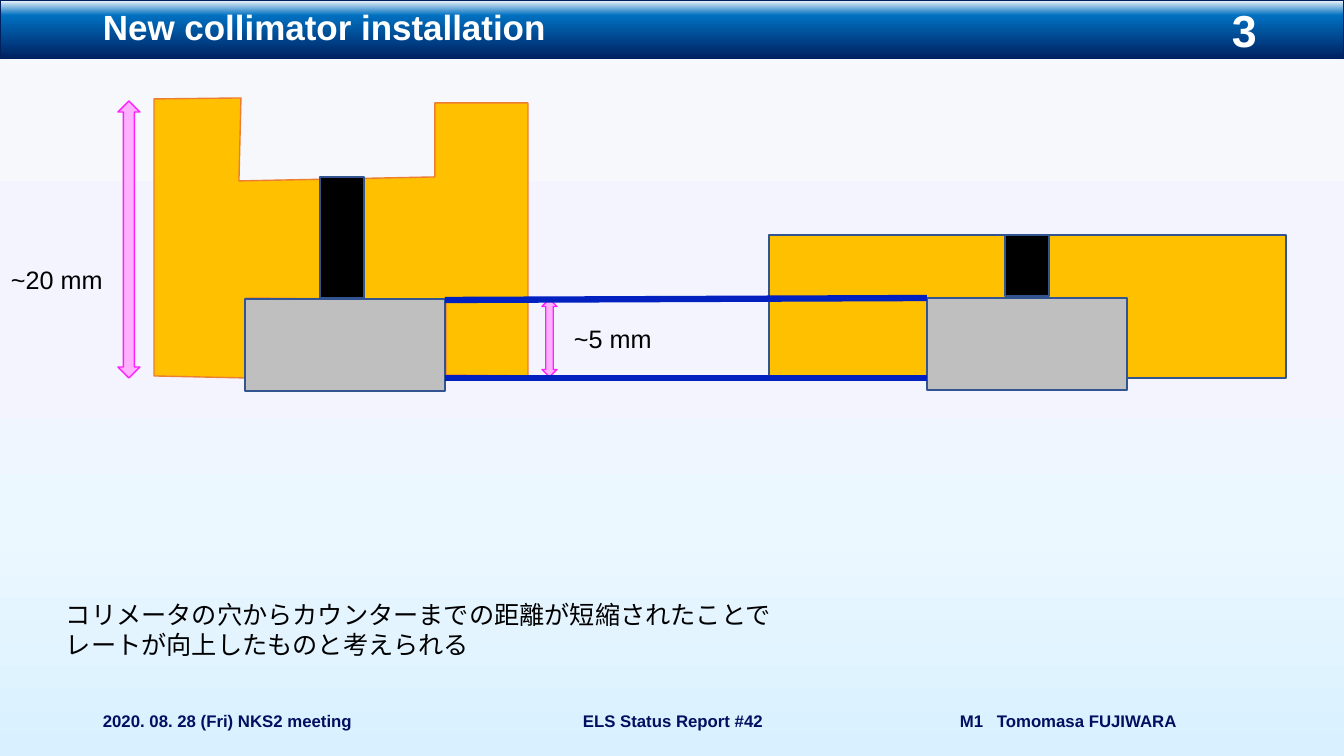
from copy import deepcopy
from dataclasses import dataclass

from lxml.etree import SubElement
from pptx import Presentation
from pptx.dml.color import RGBColor
from pptx.enum.shapes import MSO_CONNECTOR, MSO_SHAPE
from pptx.enum.text import MSO_ANCHOR, PP_ALIGN
from pptx.oxml.ns import qn
from pptx.util import Emu, Pt

SCALE = 914400 / 100.8
WIDTH, HEIGHT = 1344, 756
BAR = 59
FOOT = 701
COLORS = {
    "white": "FFFFFF", "black": "000000", "navy": "001060", "edge": "002060",
    "gold": "FFC000", "orange": "ED7D31", "steel": "325491", "gray": "BFBFBF",
    "pink": "FFB0FF", "magenta": "FF20FF", "blue": "0020C0",
}
SKY = [(0, "F6F8FC"), (48, "F3F4FE"), (70, "ECF8FF"), (100, "D8F0FF")]
BANNER = [(0, "F6F8FC"), (26, "0070C0"), (100, "002060")]


@dataclass
class Block:
    box: tuple[int, int, int, int]
    fill: str
    line: str = "steel"
    kind: MSO_SHAPE = MSO_SHAPE.RECTANGLE


@dataclass
class Label:
    box: tuple[int, int, int, int]
    lines: list[str]
    size: int = 18
    color: str = "black"
    bold: bool = False
    align: PP_ALIGN = PP_ALIGN.LEFT
    anchor: MSO_ANCHOR = MSO_ANCHOR.TOP
    font: str = "Arial"
    tab: int = 0
    space: float = 1.0


@dataclass
class Level:
    """A blue height line from one counter to the other."""
    start: tuple[int, int]
    end: tuple[int, int]


OUTLINE = [
    (154, 99), (241, 98), (239, 181), (435, 177), (435, 103), (528, 103),
    (528, 376), (446, 375), (446, 300), (246, 298), (246, 378), (154, 376),
]
ARROW = MSO_SHAPE.UP_DOWN_ARROW
BLOCKS = [
    Block((320, 177, 44, 121), "black"),
    Block((118, 101, 22, 277), "pink", "magenta", ARROW),
    Block((245, 299, 200, 92), "gray"),
    Block((542, 299, 15, 78), "pink", "magenta", ARROW),
    Block((769, 235, 517, 143), "gold"),
    Block((927, 298, 200, 92), "gray"),
    Block((1005, 235, 44, 61), "black"),
]
LEVELS = [Level((445, 300), (927, 298)), Level((445, 378), (927, 378))]
MID = MSO_ANCHOR.MIDDLE
CENTER = PP_ALIGN.CENTER
LABELS = [
    Label((1145, 0, 199, BAR), ["3"], 32, "white", True, CENTER, MID),
    Label((93, 0, 1159, BAR), ["New collimator installation"], 25, "white",
          True, anchor=MID, space=0.9),
    Label((93, FOOT, 302, 40), ["2020. 08. 28 (Fri) NKS2 meeting"], 12,
          "navy", True, anchor=MID),
    Label((446, FOOT, 454, 40), ["ELS Status Report #42"], 12, "navy", True,
          CENTER, MID),
    Label((950, FOOT, 302, 40), ["M1\tTomomasa FUJIWARA"], 12, "navy", True,
          anchor=MID, tab=37),
    Label((1, 259, 125, 40), ["~20 mm"]),
    Label((564, 318, 125, 40), ["~5 mm"]),
    Label((56, 594, 776, 72),
          ["コリメータの穴からカウンターまでの距離が短縮されたことで",
           "レートが向上したものと考えられる"], font="Calibri"),
]


def px(count: int) -> Emu:
    return Emu(round(count * SCALE))


def rgb(name: str) -> RGBColor:
    return RGBColor.from_string(COLORS[name])


def blend(owner, fill, stops: list[tuple[int, str]]) -> None:
    """Fill with a gradient that runs from top to bottom."""
    fill.gradient()
    fill.gradient_angle = 270
    group = owner.element.find(".//" + qn("a:gsLst"))
    while len(group) < len(stops):
        group.append(deepcopy(group[0]))
    for stop, (place, color) in zip(fill.gradient_stops, stops):
        stop.position = place / 100
        stop.color.rgb = RGBColor.from_string(color)


def style(shape, fill: str, line: str) -> None:
    shape.shadow.inherit = False
    shape.fill.solid()
    shape.fill.fore_color.rgb = rgb(fill)
    shape.line.color.rgb = rgb(line)
    shape.line.width = Pt(1)


def add_bar(slide) -> None:
    bar = slide.shapes.add_shape(MSO_SHAPE.RECTANGLE, 0, 0, px(WIDTH), px(BAR))
    bar.shadow.inherit = False
    blend(bar, bar.fill, BANNER)
    bar.line.color.rgb = rgb("edge")
    bar.line.width = Pt(0.75)


def add_holder(slide) -> None:
    pen = slide.shapes.build_freeform(*OUTLINE[0], scale=SCALE)
    pen.add_line_segments(OUTLINE[1:], close=True)
    style(pen.convert_to_shape(), "gold", "orange")


def add_block(slide, block: Block) -> None:
    shape = slide.shapes.add_shape(block.kind, *map(px, block.box))
    style(shape, block.fill, block.line)


def add_level(slide, level: Level) -> None:
    line = slide.shapes.add_connector(
        MSO_CONNECTOR.STRAIGHT, *map(px, level.start + level.end))
    line.line.color.rgb = rgb("blue")
    line.line.width = Pt(4.5)
    SubElement(line.element.spPr, qn("a:effectLst"))


def add_label(slide, label: Label) -> None:
    frame = slide.shapes.add_textbox(*map(px, label.box)).text_frame
    frame.word_wrap = True
    frame.vertical_anchor = label.anchor
    frame.text = "\n".join(label.lines)
    for para in frame.paragraphs:
        para.alignment = label.align
        para.line_spacing = label.space
        if label.tab:
            tabs = SubElement(para._p.get_or_add_pPr(), qn("a:tabLst"))
            SubElement(tabs, qn("a:tab"), pos=str(px(label.tab)), algn="l")
        para.font.name = label.font
        para.font.size = Pt(label.size)
        para.font.bold = label.bold
        para.font.color.rgb = rgb(label.color)


def main() -> None:
    deck = Presentation()
    deck.slide_width, deck.slide_height = px(WIDTH), px(HEIGHT)
    slide = deck.slides.add_slide(deck.slide_layouts[6])
    blend(slide, slide.background.fill, SKY)
    add_bar(slide)
    add_holder(slide)
    for block in BLOCKS:
        add_block(slide, block)
    for level in LEVELS:
        add_level(slide, level)
    for label in LABELS:
        add_label(slide, label)
    deck.save("out.pptx")


if __name__ == "__main__":
    main()
